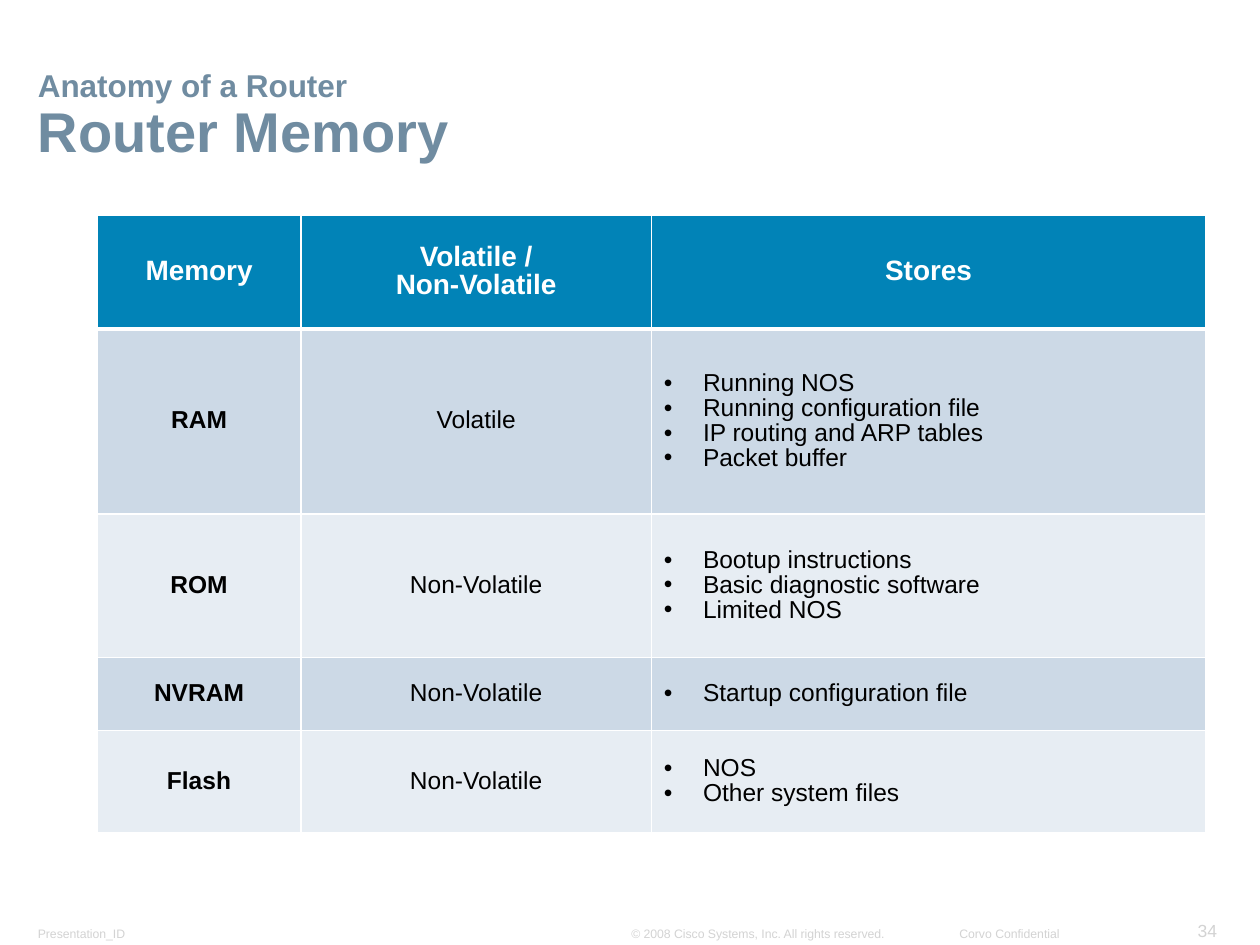
from lxml import etree
from pptx import Presentation
from pptx import util as u
from pptx.dml.color import RGBColor
from pptx.enum import text
from pptx.oxml.ns import qn

# Content
TITLE = [("Anatomy of a Router", 18), ("Router Memory", 32)]
HEADERS = ["Memory", "Volatile /\nNon-Volatile", "Stores"]
MEMORIES = [
    ("RAM", "Volatile", ["Running NOS", "Running configuration file",
                         "IP routing and ARP tables", "Packet buffer"]),
    ("ROM", "Non-Volatile", ["Bootup instructions", "Basic diagnostic software",
                             "Limited NOS"]),
    ("NVRAM", "Non-Volatile", ["Startup configuration file"]),
    ("Flash", "Non-Volatile", ["NOS", "Other system files"]),
]
COLUMN_WIDTHS = [1.62, 2.78, 4.4]
ROW_HEIGHTS = [0.9, 1.47, 1.14, 0.58, 0.81]
# Footer: words, left, top, width, height, size, alignment
FOOTERS = [
    ("Presentation_ID", 0.21, 7.3, 1.05, 0.21, 7, "left"),
    ("© 2008 Cisco Systems, Inc. All rights reserved.", 4.92, 7.3, 2.21, 0.21, 7, "left"),
    ("Corvo Confidential", 7.54, 7.3, 0.96, 0.21, 7, "right"),
    ("34", 9.4, 7.25, 0.35, 0.26, 10, "right"),
]

THEME = {
    "font": "Arial", "title": "708CA1", "footer": "D3D3D3", "header": "0183B7",
    "bands": ["CCD9E6", "E7EDF3"], "white": "FFFFFF", "body": "000000",
    "header_size": 16, "body_size": 14, "spacing": 0.9, "indent": 0.31,
}
ALIGN = {"left": text.PP_ALIGN.LEFT, "center": text.PP_ALIGN.CENTER,
         "right": text.PP_ALIGN.RIGHT}


def style_font(font, size, color, bold=False):
    font.name, font.size, font.bold = THEME["font"], u.Pt(size), bold
    font.color.rgb = RGBColor.from_string(color)


def add_bullet(para):
    props = para._p.get_or_add_pPr()
    indent = u.Inches(THEME["indent"])
    props.set("marL", str(indent))
    props.set("indent", str(-indent))
    etree.SubElement(props, qn("a:buFont"), typeface=THEME["font"])
    etree.SubElement(props, qn("a:buChar"), char="•")


def write(frame, words, size, color, bold=False, align="left", spacing=None, bullets=False):
    """Write one paragraph for each line of words."""
    for index, line in enumerate(words.split("\n")):
        para = frame.add_paragraph() if index else frame.paragraphs[0]
        if bullets:
            add_bullet(para)
        para.alignment = ALIGN[align]
        if spacing:
            para.line_spacing = spacing
        span = para.add_run()
        span.text = line
        style_font(span.font, size, color, bold)


def set_frame(frame, wrap):
    frame.word_wrap = wrap
    frame.auto_size = text.MSO_AUTO_SIZE.NONE
    frame.vertical_anchor = text.MSO_ANCHOR.BOTTOM
    frame.margin_left = frame.margin_right = u.Inches(0.09)
    frame.margin_top = frame.margin_bottom = u.Inches(0.04)


def set_borders(cell, bottom):
    props = cell._tc.get_or_add_tcPr()
    for index, (side, width) in enumerate([("L", 1), ("R", 1), ("T", 1), ("B", bottom)]):
        line = etree.Element(qn(f"a:ln{side}"), w=str(u.Pt(width)))
        fill = etree.SubElement(line, qn("a:solidFill"))
        etree.SubElement(fill, qn("a:srgbClr"), val=THEME["white"])
        props.insert(index, line)


def fill_cell(cell, words, fill, bottom=1, **kwargs):
    cell.fill.solid()
    cell.fill.fore_color.rgb = RGBColor.from_string(fill)
    cell.vertical_anchor = text.MSO_ANCHOR.MIDDLE
    set_borders(cell, bottom)
    write(cell.text_frame, words, spacing=THEME["spacing"], **kwargs)


def add_title(page):
    box = page.shapes.title
    box.left, box.top, box.width, box.height = map(u.Inches, (0.21, 0.43, 9.59, 0.92))
    set_frame(box.text_frame, True)
    para = box.text_frame.paragraphs[0]
    para.alignment, para.line_spacing = ALIGN["left"], THEME["spacing"]
    for index, (words, size) in enumerate(TITLE):
        if index:
            para.add_line_break()
        span = para.add_run()
        span.text = words
        style_font(span.font, size, THEME["title"], True)


def add_memory_table(page):
    table = page.shapes.add_table(
        len(ROW_HEIGHTS), len(COLUMN_WIDTHS), u.Inches(0.77), u.Inches(1.71),
        u.Inches(sum(COLUMN_WIDTHS)), u.Inches(sum(ROW_HEIGHTS))).table
    for column, width in zip(table.columns, COLUMN_WIDTHS):
        column.width = u.Inches(width)
    for row, height in zip(table.rows, ROW_HEIGHTS):
        row.height = u.Inches(height)

    # Header row
    for column, words in enumerate(HEADERS):
        fill_cell(table.cell(0, column), words, THEME["header"], bottom=3, align="center",
                  size=THEME["header_size"], color=THEME["white"], bold=True)

    # Banded body rows
    body = {"size": THEME["body_size"], "color": THEME["body"]}
    for row, (memory, kind, stores) in enumerate(MEMORIES, 1):
        band = THEME["bands"][(row - 1) % 2]
        fill_cell(table.cell(row, 0), memory, band, align="center", bold=True, **body)
        fill_cell(table.cell(row, 1), kind, band, align="center", **body)
        fill_cell(table.cell(row, 2), "\n".join(stores), band, bullets=True, **body)


def add_footers(page):
    for words, left, top, width, height, size, align in FOOTERS:
        box = page.shapes.add_textbox(*map(u.Inches, (left, top, width, height)))
        set_frame(box.text_frame, False)
        write(box.text_frame, words, size, THEME["footer"], align=align)


def main():
    deck = Presentation()
    deck.slide_width, deck.slide_height = u.Inches(10), u.Inches(7.5)
    page = deck.slides.add_slide(deck.slide_layouts[5])
    add_footers(page)
    add_title(page)
    add_memory_table(page)
    deck.save("out.pptx")


if __name__ == "__main__":
    main()
